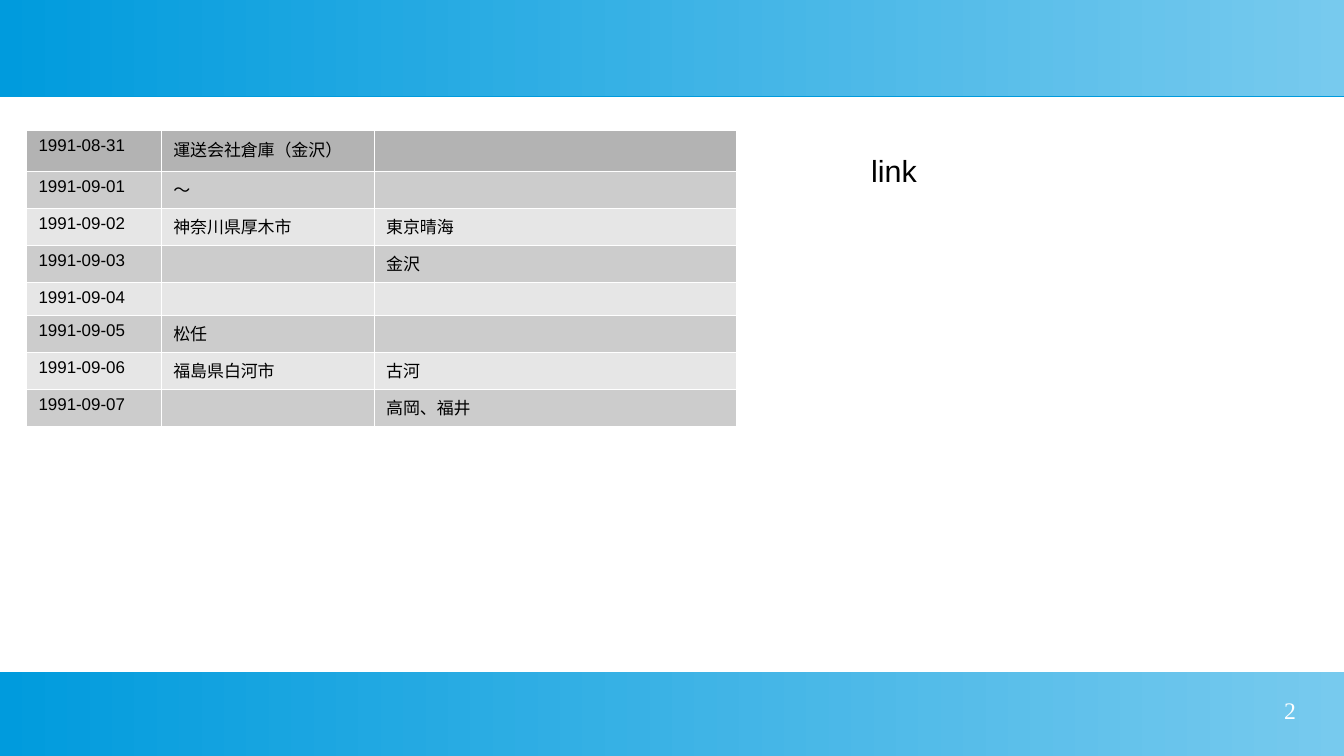
import dataclasses

import lxml.etree
import pptx
import pptx.dml.color
import pptx.enum.shapes
import pptx.enum.text
import pptx.oxml.ns
import pptx.util

Cm = pptx.util.Cm
Pt = pptx.util.Pt


@dataclasses.dataclass(frozen=True)
class Theme:
    band_left: str = "009BDD"
    band_right: str = "77CAEE"
    ink: str = "000000"
    white: str = "FFFFFF"
    head_row: str = "B3B3B3"
    odd_row: str = "CCCCCC"
    even_row: str = "E6E6E6"
    sans: str = "Arial"
    serif: str = "Times New Roman"
    table_size: int = 10
    label_size: int = 18
    number_size: int = 14


THEME = Theme()
ITINERARY = [
    ("1991-08-31", "運送会社倉庫（金沢）", ""),
    ("1991-09-01", "〜", ""),
    ("1991-09-02", "神奈川県厚木市", "東京晴海"),
    ("1991-09-03", "", "金沢"),
    ("1991-09-04", "", ""),
    ("1991-09-05", "松任", ""),
    ("1991-09-06", "福島県白河市", "古河"),
    ("1991-09-07", "", "高岡、福井"),
]
COLUMN_SHARES = (0.19, 0.3, 0.51)


def color(value):
    """Turn a hex value into a colour."""
    return pptx.dml.color.RGBColor.from_string(value)


def add_element(parent, tag, **attributes):
    """Append a drawing element with its attributes."""
    element = lxml.etree.SubElement(parent, pptx.oxml.ns.qn(tag))
    for name, value in attributes.items():
        element.set(name, str(value))
    return element


def write_text(frame, text, size, font=THEME.sans, ink=THEME.ink, align=None):
    """Write one formatted line, or size the empty paragraph."""
    para = frame.paragraphs[0]
    if align is not None:
        para.alignment = align
    if not text:
        add_element(para._p, "a:endParaRPr", sz=size * 100)
        return
    span = para.add_run()
    span.text = text
    span.font.size = Pt(size)
    span.font.name = font
    span.font.color.rgb = color(ink)


def add_band(page, left, top, width, height):
    """Draw a full-width gradient band with a thin lower edge."""
    band = page.shapes.add_shape(
        pptx.enum.shapes.MSO_SHAPE.RECTANGLE, left, top, width, height)
    band.line.fill.background()
    band.fill.gradient()
    band.fill.gradient_angle = 0
    for stop, value in zip(band.fill.gradient_stops, (THEME.band_left, THEME.band_right)):
        stop.color.rgb = color(value)
    band.shadow.inherit = False
    effects = band._element.spPr.find(pptx.oxml.ns.qn("a:effectLst"))
    edge = add_element(effects, "a:outerShdw", blurRad=0, dist=Pt(0.9), dir=5400000,
                       algn="ctr", rotWithShape=0)
    add_element(edge, "a:srgbClr", val=THEME.band_left)


def add_borders(cell):
    """Give a cell hairline white borders, ahead of its fill."""
    properties = cell._tc.get_or_add_tcPr()
    for side in ("a:lnL", "a:lnR", "a:lnT", "a:lnB"):
        line = add_element(properties, side, w=Pt(0.06))
        add_element(add_element(line, "a:solidFill"), "a:srgbClr", val=THEME.white)


def row_style(index, texts):
    """Choose the height and fill of a table row."""
    if index == 0:
        return Cm(0.85), THEME.head_row
    height = Cm(0.77) if any(texts[1:]) else Cm(0.65)
    return height, THEME.odd_row if index % 2 else THEME.even_row


def add_itinerary(page, left, top, width):
    """Build the table of dates and places."""
    styles = [row_style(index, texts) for index, texts in enumerate(ITINERARY)]
    height = sum(row_height for row_height, _ in styles)
    table = page.shapes.add_table(
        len(ITINERARY), len(COLUMN_SHARES), left, top, width, height).table
    for column, share in zip(table.columns, COLUMN_SHARES):
        column.width = int(width * share)
    for row, texts, (row_height, fill) in zip(table.rows, ITINERARY, styles):
        row.height = row_height
        for cell, text in zip(row.cells, texts):
            add_borders(cell)
            cell.fill.solid()
            cell.fill.fore_color.rgb = color(fill)
            write_text(cell.text_frame, text, THEME.table_size)


def add_label(page, left, top, width, height):
    """Place the label beside the table."""
    box = page.shapes.add_textbox(left, top, width, height)
    write_text(box.text_frame, "link", THEME.label_size)


def add_page_number(page, left, top, width, height):
    """Place the page number at the right of its box."""
    frame = page.shapes.add_textbox(left, top, width, height).text_frame
    frame.word_wrap = True
    frame.margin_left = frame.margin_right = frame.margin_top = frame.margin_bottom = 0
    write_text(frame, "2", THEME.number_size, font=THEME.serif, ink=THEME.white,
               align=pptx.enum.text.PP_ALIGN.RIGHT)


def main():
    """Build and save the deck."""
    deck = pptx.Presentation()
    deck.slide_width = Cm(28)
    deck.slide_height = Cm(15.75)
    page = deck.slides.add_slide(deck.slide_layouts[6])
    add_band(page, 0, 0, deck.slide_width, Cm(2))
    add_band(page, 0, Cm(14), deck.slide_width, Cm(1.75))
    add_itinerary(page, Cm(0.55), Cm(2.72), Cm(14.78))
    add_label(page, Cm(17.9), Cm(3.05), Cm(2.08), Cm(0.94))
    add_page_number(page, Cm(20.5), Cm(14.5), Cm(6.5), Cm(1))
    deck.save("out.pptx")


if __name__ == "__main__":
    main()
